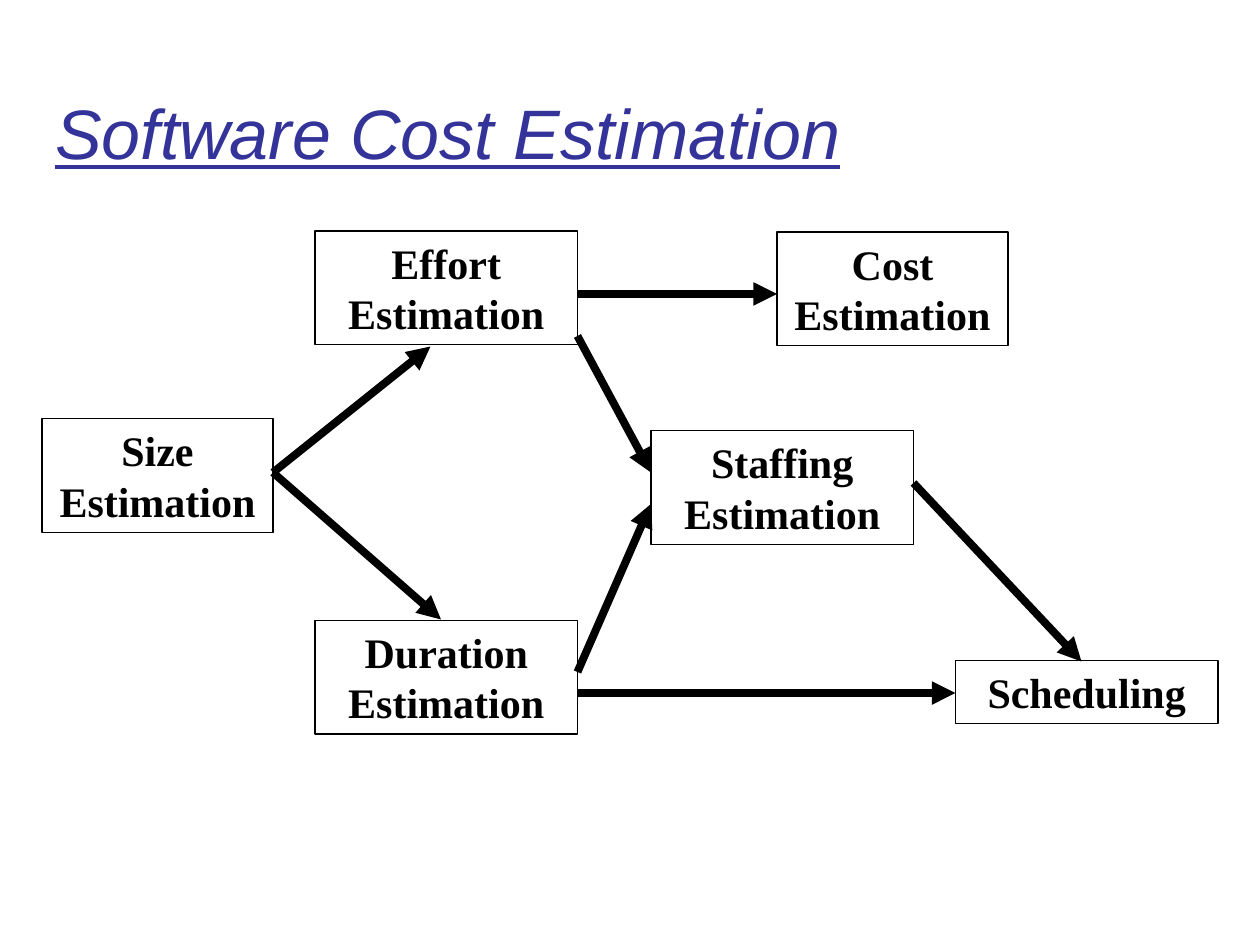
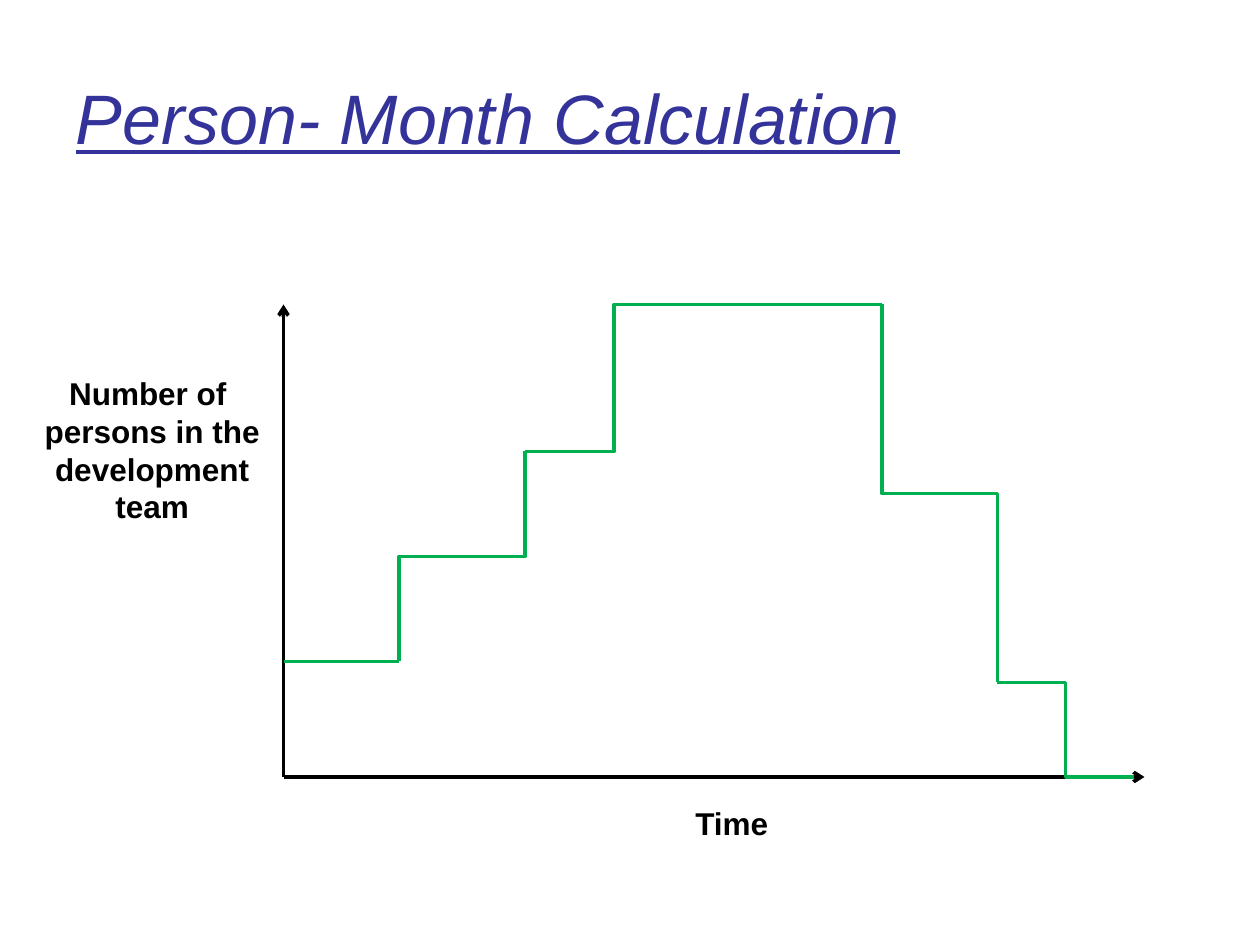
from lxml import etree
from pptx import Presentation
from pptx.dml import color
from pptx.enum import shapes, text
from pptx.oxml import ns
from pptx.util import Pt

BLACK = "000000"
TITLE_BLUE = "333399"
STEP_GREEN = "00B050"
TITLE_ONLY = 5
STRAIGHT = shapes.MSO_CONNECTOR.STRAIGHT
ELBOW = shapes.MSO_CONNECTOR.ELBOW


def rgb(hex_color):
    return color.RGBColor.from_string(hex_color)


def style_line(part, hex_color, width):
    part.line.color.rgb = rgb(hex_color)
    part.line.width = Pt(width)


def style_text(frame, font, size, hex_color, align, before=0, bold=False, italic=False):
    for paragraph in frame.paragraphs:
        paragraph.alignment = align
        paragraph.space_before = Pt(before)
        for run in paragraph.runs:
            run.font.name = font
            run.font.size = Pt(size)
            run.font.color.rgb = rgb(hex_color)
            run.font.bold = bold
            run.font.italic = italic
            run.font.underline = italic


def add_title_slide(deck, wording, box, inset=7.2, before=0):
    slide = deck.slides.add_slide(deck.slide_layouts[TITLE_ONLY])
    title = slide.shapes.title
    title.left, title.top, title.width, title.height = map(Pt, box)
    frame = title.text_frame
    frame.text = wording
    frame.auto_size = text.MSO_AUTO_SIZE.NONE
    frame.vertical_anchor = text.MSO_ANCHOR.MIDDLE
    frame.margin_left = frame.margin_right = Pt(inset)
    style_text(frame, "Arial", 40, TITLE_BLUE, text.PP_ALIGN.LEFT, before, italic=True)
    return slide


def add_line(slide, kind, start, end, hex_color, width):
    line = slide.shapes.add_connector(kind, *map(Pt, (*start, *end)))
    style_line(line, hex_color, width)
    etree.SubElement(line._element.spPr, ns.qn("a:effectLst"))
    return line


def add_arrow(slide, start, end, width, head):
    arrow = add_line(slide, STRAIGHT, start, end, BLACK, width)
    etree.SubElement(arrow.line._get_or_add_ln(), ns.qn("a:tailEnd"), type=head)


def add_upright_elbow(slide, start, end, hex_color, width):
    (x1, y1), (x2, y2) = start, end
    middle_x, middle_y = (x1 + x2) / 2, (y1 + y2) / 2
    rises = y2 < y1
    reach = abs(y2 - y1) / 2
    drop = (x2 - x1) / 2 if rises else (x1 - x2) / 2
    elbow = add_line(slide, ELBOW, (middle_x + reach, middle_y + drop),
                     (middle_x - reach, middle_y - drop), hex_color, width)
    turn = 90 if rises else 270
    elbow._element.spPr.find(ns.qn("a:xfrm")).set("rot", str(turn * 60000))


def add_activity(slide, wording, box):
    activity = slide.shapes.add_shape(shapes.MSO_SHAPE.RECTANGLE, *map(Pt, box))
    activity.shadow.inherit = False
    activity.fill.background()
    style_line(activity, BLACK, 0.75)
    frame = activity.text_frame
    frame.text = wording
    frame.word_wrap = True
    frame.vertical_anchor = text.MSO_ANCHOR.TOP
    style_text(frame, "Times New Roman", 24, BLACK, text.PP_ALIGN.CENTER, 15, bold=True)


def add_estimation_flow(slide, left, top):
    narrow, wide, tall, short = 132, 150, 65, 36
    activities = {
        "Size Estimation": (0, 107.25, narrow, tall),
        "Effort Estimation": (156, 0, wide, tall),
        "Cost Estimation": (420, 0.5, narrow, tall),
        "Duration Estimation": (156, 222.5, wide, tall),
        "Staffing Estimation": (348, 114, wide, tall),
        "Scheduling": (522, 245.5, wide, short),
    }
    flows = [
        ("Size Estimation", 30.75, "Effort Estimation", 66, 66),
        ("Size Estimation", 30.75, "Duration Estimation", 72, -0.5),
        ("Effort Estimation", 36, "Cost Estimation", 0, 35.5),
        ("Effort Estimation", 60, "Staffing Estimation", 0, 24),
        ("Duration Estimation", 29.5, "Staffing Estimation", 0, 42),
        ("Duration Estimation", 41.5, "Scheduling", 0, 18.5),
        ("Staffing Estimation", 30, "Scheduling", 72, 0.5),
    ]
    for wording, (x, y, width, height) in activities.items():
        add_activity(slide, wording, (left + x, top + y, width, height))
    for source, drop, target, across, down in flows:
        x, y, width, _ = activities[source]
        to_x, to_y, _, _ = activities[target]
        add_arrow(slide, (left + x + width, top + y + drop),
                  (left + to_x + across, top + to_y + down), 4.5, "triangle")


def add_axis_label(slide, wording, box, align, wrap):
    label = slide.shapes.add_textbox(*map(Pt, box))
    frame = label.text_frame
    frame.text = wording
    frame.word_wrap = wrap
    style_text(frame, "Arial", 18, BLACK, align, bold=True)


def add_staffing_steps(slide, left, base):
    start = (left, base - 66)
    steps = [
        ("level", 66, 66),
        ("upright", 138, 186),
        ("across", 240, 270),
        ("level", 342, 270),
        ("upright", 408, 54),
        ("across", 486, 0),
    ]
    for course, x, persons in steps:
        end = (left + x, base - persons)
        if course == "upright":
            add_upright_elbow(slide, start, end, STEP_GREEN, 2)
        else:
            kind = STRAIGHT if course == "level" else ELBOW
            add_line(slide, kind, start, end, STEP_GREEN, 2)
        start = end


def add_person_month_graph(slide, left, top, width, height):
    base = top + height
    add_arrow(slide, (left, base), (left, top), 2, "arrow")
    add_arrow(slide, (left, base), (left + width, base), 2, "arrow")
    add_axis_label(slide, "Time", (left + 228.25, base + 12, 56, 28.8),
                   text.PP_ALIGN.LEFT, False)
    add_axis_label(slide, "Number of \npersons in the development team",
                   (left - 150, top + 36.25, 150, 93.6), text.PP_ALIGN.CENTER, True)
    add_staffing_steps(slide, left, base)


deck = Presentation()
deck.slide_width, deck.slide_height = Pt(720), Pt(540)

cost_slide = add_title_slide(deck, "Software Cost Estimation", (30, 30, 612, 90), 1.5, 9.9)
add_estimation_flow(cost_slide, 24, 132)

month_slide = add_title_slide(deck, "Person- Month Calculation", (36, 21.6, 648, 90))
add_person_month_graph(month_slide, 162, 174, 492, 270)

deck.save("out.pptx")
